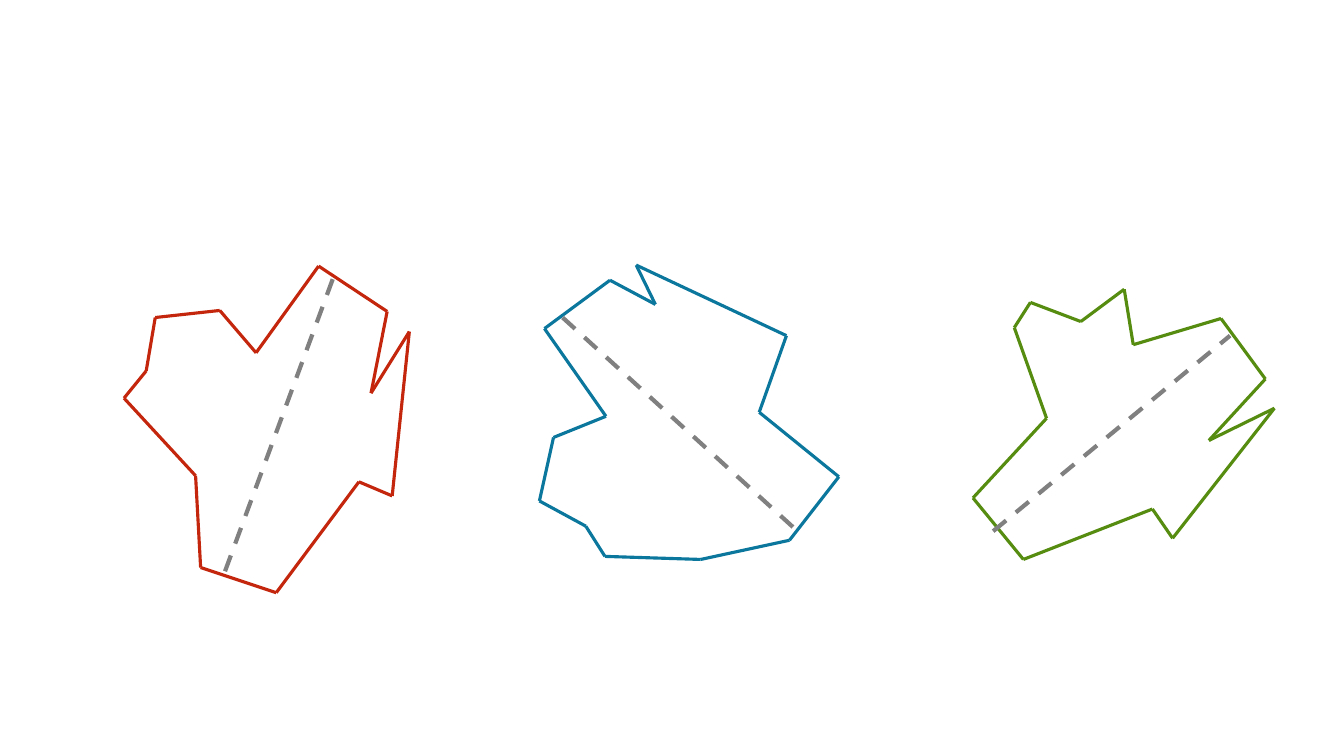
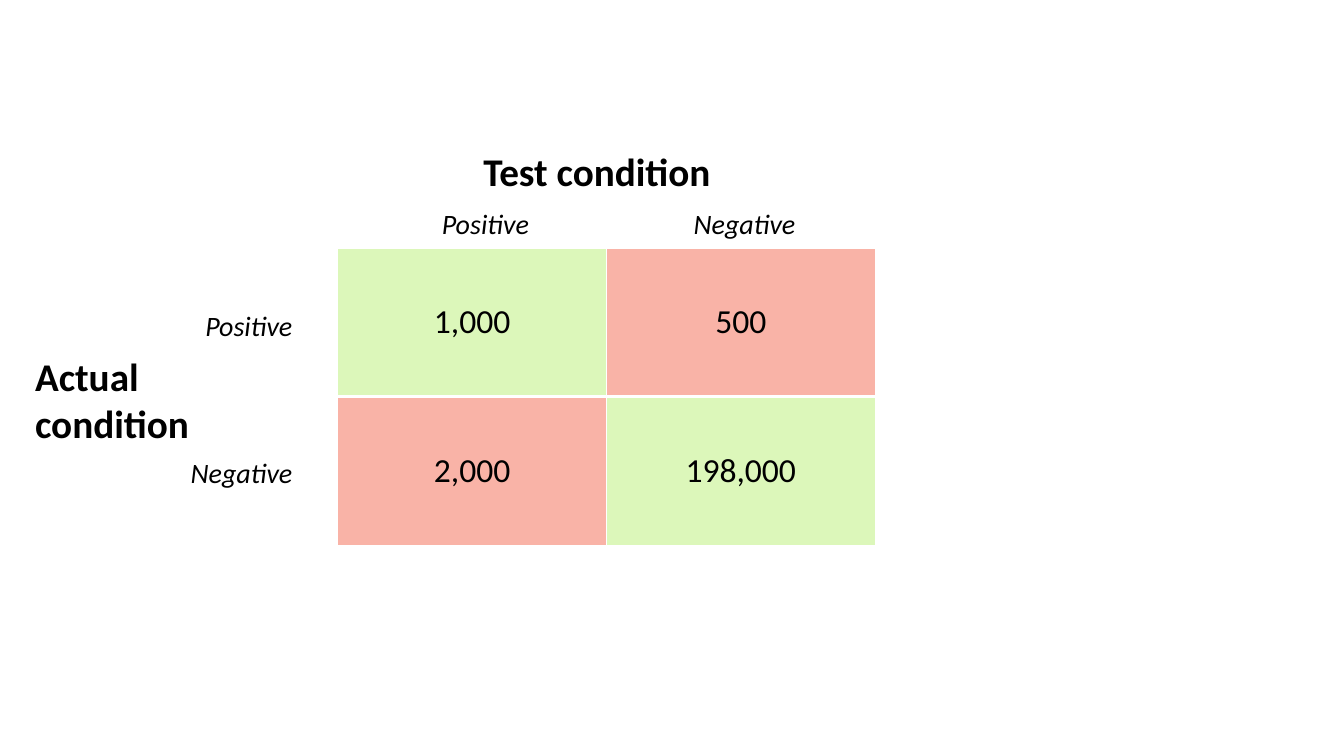
from pptx import Presentation
from pptx.dml.color import RGBColor
from pptx.enum.dml import MSO_LINE
from pptx.enum.shapes import MSO_CONNECTOR
from pptx.enum.text import MSO_ANCHOR, MSO_AUTO_SIZE, PP_ALIGN
from pptx.oxml import parse_xml
from pptx.oxml.ns import nsdecls
from pptx.util import Inches, Pt

STRAIGHT = MSO_CONNECTOR.STRAIGHT
DASH = MSO_LINE.DASH
LEFT, CENTER, RIGHT = PP_ALIGN.LEFT, PP_ALIGN.CENTER, PP_ALIGN.RIGHT
MIDDLE = MSO_ANCHOR.MIDDLE
FIT_SHAPE = MSO_AUTO_SIZE.SHAPE_TO_FIT_TEXT

FONT = "Calibri"
BLACK, WHITE, GRAY = "000000", "FFFFFF", "808080"
RED, BLUE, GREEN = "C3260C", "0C779D", "568D11"
CORRECT, WRONG = "DCF7BA", "F9B3A7"

HEADING = {"size": Pt(28), "bold": True}
LABEL = {"size": Pt(20), "italic": True}
VALUE = {"size": Pt(24)}

# Corners of each outline in drawing order, and its dashed diameter
POLYGONS = [
    {
        "color": RED,
        "corners": [(1.23, 3.95), (1.94, 4.72), (1.99, 5.63), (2.74, 5.88),
                    (3.56, 4.78), (3.89, 4.92), (4.06, 3.29), (3.68, 3.9),
                    (3.84, 3.09), (3.16, 2.64), (2.54, 3.5), (2.18, 3.08),
                    (1.54, 3.15), (1.45, 3.68)],
        "diameter": [(3.3, 2.77), (2.22, 5.7)],
    },
    {
        "color": BLUE,
        "corners": [(6, 5.52), (6.95, 5.55), (7.83, 5.36), (8.32, 4.73),
                    (7.53, 4.09), (7.8, 3.33), (6.31, 2.63), (6.5, 3.02),
                    (6.05, 2.78), (5.4, 3.26), (6.01, 4.13), (5.49, 4.34),
                    (5.35, 4.97), (5.81, 5.22)],
        "diameter": [(5.58, 3.15), (7.91, 5.27)],
    },
    {
        "color": GREEN,
        "corners": [(10.06, 3.25), (10.38, 4.15), (9.65, 4.94), (10.15, 5.55),
                    (11.43, 5.05), (11.63, 5.34), (12.64, 4.05), (11.99, 4.37),
                    (12.55, 3.76), (12.11, 3.16), (11.24, 3.42), (11.15, 2.87),
                    (10.72, 3.19), (10.22, 3)],
        "diameter": [(9.85, 5.27), (12.2, 3.33)],
    },
]

MATRIX = [["1,000", "500"], ["2,000", "198,000"]]
MATRIX_BOX = (3.35, 2.46, 5.33, 2.95)
ROW_GAP, CELL_BORDER = 3, 1

# text, (left, top, width, height), format, alignment, wrap
CAPTIONS = [
    ("Actual\vcondition", (0.25, 3.45, 1.84, 1.04), HEADING, LEFT, False),
    ("Positive", (1.87, 3.01, 1.13, 0.44), LABEL, RIGHT, False),
    ("Negative", (1.73, 4.47, 1.27, 0.44), LABEL, RIGHT, False),
    ("Positive", (4.25, 2, 1.13, 0.44), LABEL, CENTER, False),
    ("Negative", (6.75, 2, 1.27, 0.44), LABEL, CENTER, False),
    ("Test condition", (4.25, 1.41, 3.34, 0.57), HEADING, CENTER, True),
]


def rgb(color):
    return RGBColor.from_string(color)


def add_line(shapes, start, end, color, weight, dash=None):
    ends = [Inches(length) for length in (*start, *end)]
    line = shapes.add_connector(STRAIGHT, *ends)
    line.line.color.rgb = rgb(color)
    line.line.width = Pt(weight)
    line.line.dash_style = dash
    line._element.spPr.append(parse_xml(f"<a:effectLst {nsdecls('a')}/>"))


def write(frame, text, style, align):
    para = frame.paragraphs[0]
    para.text = text
    para.alignment = align
    for span in para.runs:
        span.font.color.rgb = rgb(BLACK)
        for name, value in {"name": FONT, **style}.items():
            setattr(span.font, name, value)


def add_caption(page, text, place, style, align, wrap):
    box = page.shapes.add_textbox(*map(Inches, place))
    box.text_frame.word_wrap = wrap
    box.text_frame.auto_size = FIT_SHAPE
    write(box.text_frame, text, style, align)


def set_borders(cell, weights):
    """Draw white borders; weights maps a side (L, R, T, B) to points."""
    properties = cell._tc.get_or_add_tcPr()
    for index, side in enumerate("LRTB"):
        properties.insert(index, parse_xml(
            f'<a:ln{side} {nsdecls("a")} w="{Pt(weights[side])}">'
            f'<a:solidFill><a:srgbClr val="{WHITE}"/></a:solidFill></a:ln{side}>'))


def add_matrix(page):
    left, top, width, height = map(Inches, MATRIX_BOX)
    table = page.shapes.add_table(len(MATRIX), len(MATRIX[0]),
                                  left, top, width, height).table
    table.first_row = table.horz_banding = False
    for row, values in enumerate(MATRIX):
        gap_side = "B" if row == 0 else "T"
        for column, value in enumerate(values):
            cell = table.cell(row, column)
            cell.vertical_anchor = MIDDLE
            cell.fill.solid()
            cell.fill.fore_color.rgb = rgb(CORRECT if row == column else WRONG)
            set_borders(cell, {**dict.fromkeys("LRTB", CELL_BORDER), gap_side: ROW_GAP})
            write(cell.text_frame, value, VALUE, CENTER)


def build_polygons(page):
    for polygon in POLYGONS:
        outline = page.shapes.add_group_shape()
        corners = polygon["corners"]
        for start, end in zip(corners, corners[1:] + corners[:1]):
            add_line(outline.shapes, start, end, polygon["color"], 2.25)
    for polygon in POLYGONS:
        add_line(page.shapes, *polygon["diameter"], GRAY, 3, DASH)


def build_confusion_matrix(page):
    add_matrix(page)
    for caption in CAPTIONS:
        add_caption(page, *caption)


def main():
    deck = Presentation()
    deck.slide_width, deck.slide_height = Inches(13.33), Inches(7.5)
    blank = deck.slide_layouts[6]
    for build in (build_polygons, build_confusion_matrix):
        build(deck.slides.add_slide(blank))
    deck.save("out.pptx")


if __name__ == "__main__":
    main()
